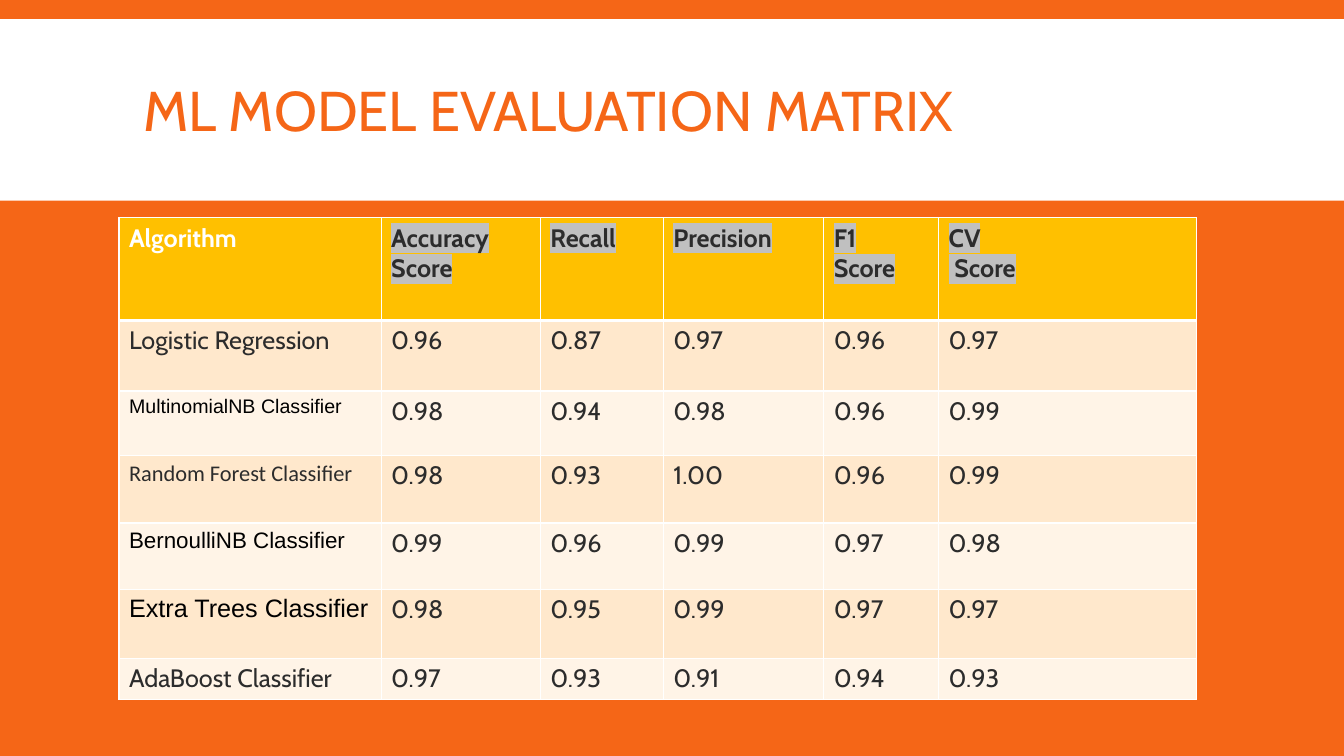
import dataclasses

import pptx
import pptx.dml.color
import pptx.enum.shapes
import pptx.enum.text
import pptx.oxml
import pptx.oxml.ns
import pptx.util

EMU_PER_PX = 9144
ORANGE = "F56617"
WHITE = "FFFFFF"
BLACK = "000000"
DARK = "2C2C2C"
AMBER = "FFC000"
BAND_FILLS = ("FFE8CC", "FFF4E7")
HIGHLIGHT = "C0C0C0"
COLUMN_WIDTHS = (260, 158, 122, 159, 114, 256)
HEADER_HEIGHT = 102
HEADINGS = ("Algorithm", "Accuracy Score", "Recall", "Precision", "F1\nScore", "CV\n Score")


@dataclasses.dataclass
class ModelRow:
    name: str
    scores: tuple[str, ...]
    height: int
    font: str = "Cabin"
    size: int = 18
    color: str = DARK


MODELS = (
    ModelRow("Logistic Regression", ("0.96", "0.87", "0.97", "0.96", "0.97"), 70),
    ModelRow("MultinomialNB Classifier", ("0.98", "0.94", "0.98", "0.96", "0.99"), 64, "Arial", 14, BLACK),
    ModelRow("Random Forest Classifier", ("0.98", "0.93", "1.00", "0.96", "0.99"), 67, "Calibri", 16),
    ModelRow("BernoulliNB Classifier", ("0.99", "0.96", "0.99", "0.97", "0.98"), 66, "Arial", 16, BLACK),
    ModelRow("Extra Trees Classifier", ("0.98", "0.95", "0.99", "0.97", "0.97"), 68, "Arial", 18, BLACK),
    ModelRow("AdaBoost Classifier", ("0.97", "0.93", "0.91", "0.94", "0.93"), 41),
)


def px(length: int) -> pptx.util.Emu:
    return pptx.util.Emu(length * EMU_PER_PX)


def rgb(color: str) -> pptx.dml.color.RGBColor:
    return pptx.dml.color.RGBColor.from_string(color)


def xml(tag: str, content: str = "", attributes: str = ""):
    namespace = pptx.oxml.ns.nsdecls("a")
    return pptx.oxml.parse_xml(f"<a:{tag} {namespace} {attributes}>{content}</a:{tag}>")


def write_text(text_frame, text: str, *, font: str = "Cabin", size: int = 18, color: str = DARK,
               bold: bool = False, highlight: str = "", line_spacing: float = 1.0) -> None:
    for index, line in enumerate(text.split("\n")):
        paragraph = text_frame.add_paragraph() if index else text_frame.paragraphs[0]
        paragraph.line_spacing = line_spacing
        run = paragraph.add_run()
        run.text = line
        run.font.name = font
        run.font.size = pptx.util.Pt(size)
        run.font.bold = bold
        run.font.color.rgb = rgb(color)
        if highlight:
            fill = run._r.get_or_add_rPr().find(pptx.oxml.ns.qn("a:solidFill"))
            fill.addnext(xml("highlight", f'<a:srgbClr val="{highlight}"/>'))


def format_cell(cell, fill: str, top: int = 1, bottom: int = 1) -> None:
    cell.fill.solid()
    cell.fill.fore_color.rgb = rgb(fill)
    properties = cell._tc.get_or_add_tcPr()
    line_fill = f'<a:solidFill><a:srgbClr val="{WHITE}"/></a:solidFill>'
    widths = {"lnL": 1, "lnR": 1, "lnT": top, "lnB": bottom}
    for index, (tag, width) in enumerate(widths.items()):
        properties.insert(index, xml(tag, line_fill, f'w="{pptx.util.Pt(width)}"'))


def add_title(slide) -> None:
    band = slide.shapes.add_shape(
        pptx.enum.shapes.MSO_SHAPE.RECTANGLE, px(0), px(19), px(1333), px(180))
    band.shadow.inherit = False
    band.fill.solid()
    band.fill.fore_color.rgb = rgb(WHITE)
    band.line.fill.background()

    title = slide.shapes.title
    band._element.addnext(title._element)
    title.left, title.top, title.width, title.height = px(132), px(31), px(1070), px(165)
    text_frame = title.text_frame
    text_frame.auto_size = pptx.enum.text.MSO_AUTO_SIZE.NONE
    text_frame.vertical_anchor = pptx.enum.text.MSO_ANCHOR.MIDDLE
    write_text(text_frame, "ML MODEL EVALUATION MATRIX", size=40, color=ORANGE, line_spacing=0.85)
    text_frame.paragraphs[0].alignment = pptx.enum.text.PP_ALIGN.LEFT


def add_score_table(slide) -> None:
    heights = [HEADER_HEIGHT] + [model.height for model in MODELS]
    table = slide.shapes.add_table(
        len(heights), len(COLUMN_WIDTHS), px(118), px(216),
        px(sum(COLUMN_WIDTHS)), px(sum(heights))).table
    table.first_row = True
    table.horz_banding = False
    for column, width in zip(table.columns, COLUMN_WIDTHS):
        column.width = px(width)
    for row, height in zip(table.rows, heights):
        row.height = px(height)

    for index, heading in enumerate(HEADINGS):
        cell = table.cell(0, index)
        format_cell(cell, AMBER, bottom=3)
        write_text(cell.text_frame, heading, bold=True, color=DARK if index else WHITE,
                   highlight=HIGHLIGHT if index else "")

    for row_index, model in enumerate(MODELS, start=1):
        for index, text in enumerate((model.name, *model.scores)):
            cell = table.cell(row_index, index)
            format_cell(cell, BAND_FILLS[(row_index - 1) % 2], top=3 if row_index == 1 else 1)
            if index:
                write_text(cell.text_frame, text)
            else:
                write_text(cell.text_frame, text, font=model.font, size=model.size, color=model.color)


def main() -> None:
    presentation = pptx.Presentation()
    presentation.slide_width = px(1333)
    presentation.slide_height = px(750)
    slide = presentation.slides.add_slide(presentation.slide_layouts.get_by_name("Title Only"))
    slide.background.fill.solid()
    slide.background.fill.fore_color.rgb = rgb(ORANGE)
    add_title(slide)
    add_score_table(slide)
    presentation.save("out.pptx")


if __name__ == "__main__":
    main()
